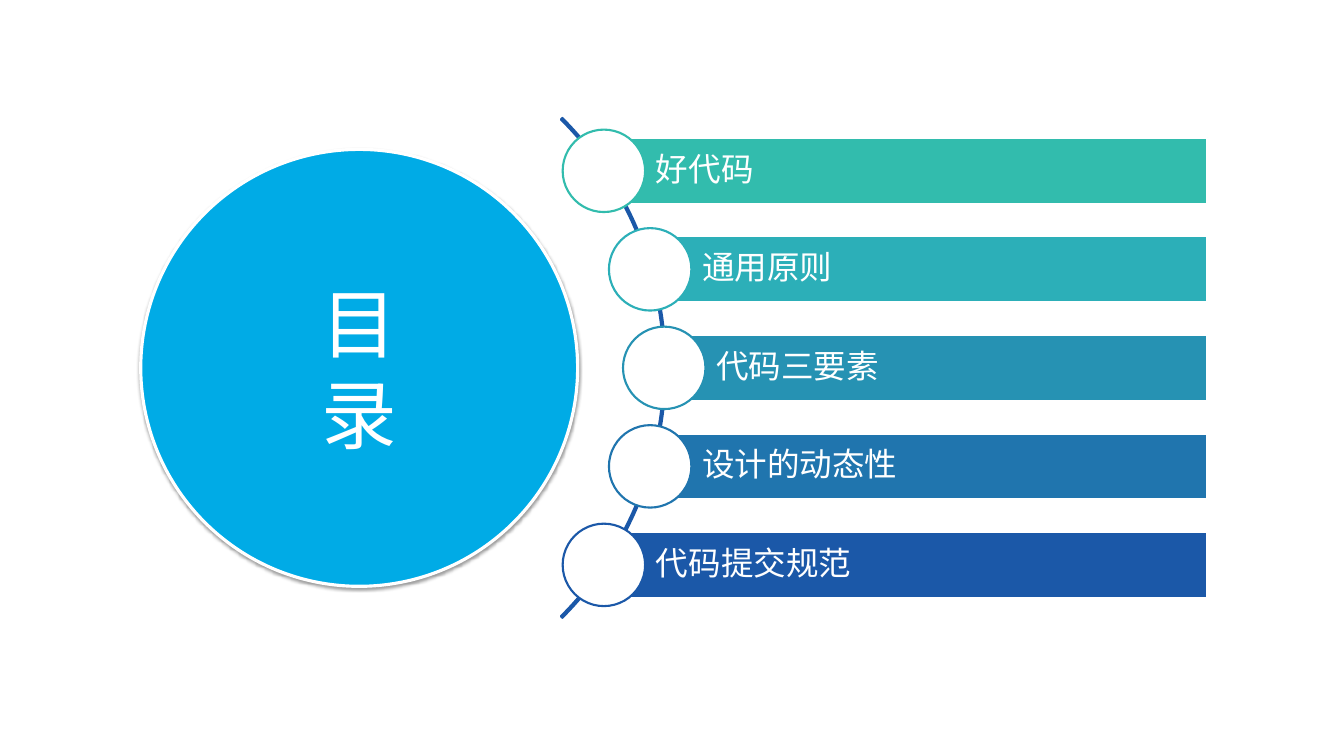
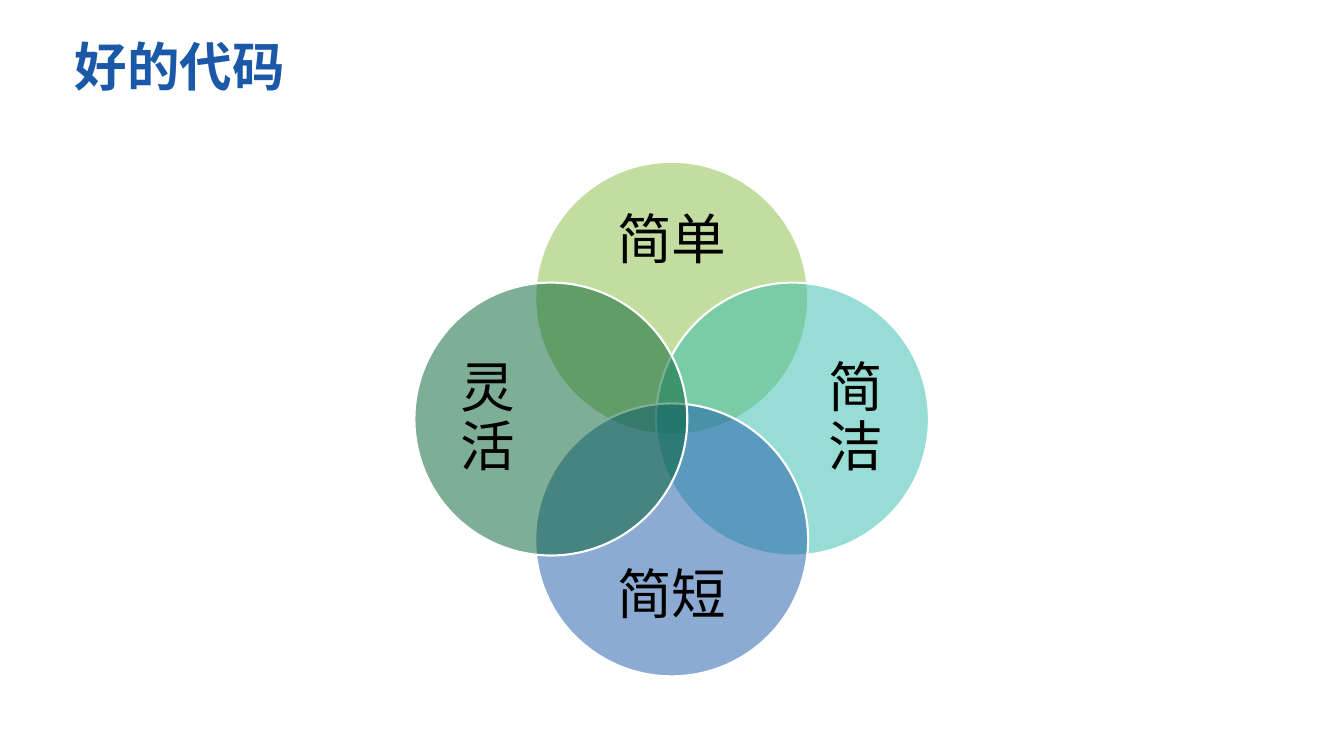
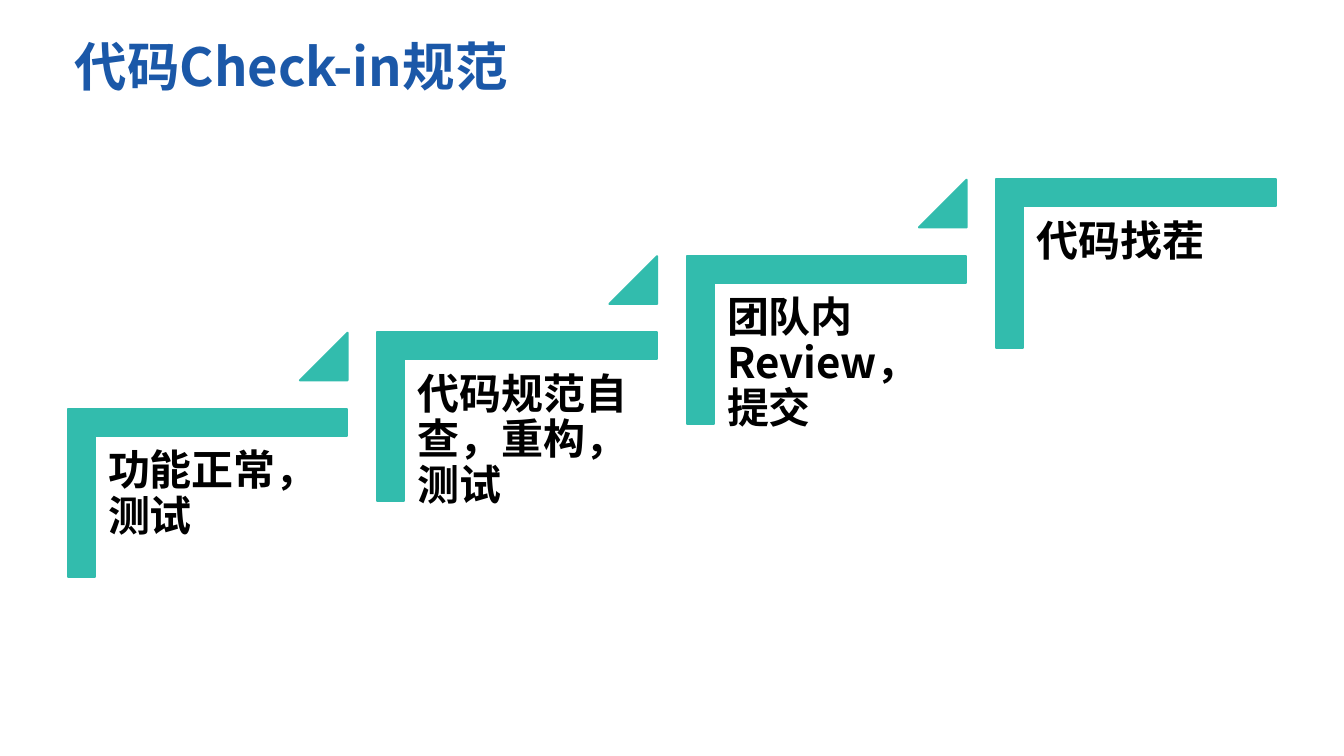
"""Build three slides on code quality: agenda, overlapping qualities, check-in steps."""
import math

import lxml.etree
import pptx
import pptx.dml.color
import pptx.enum.shapes
import pptx.enum.text
import pptx.oxml.ns
import pptx.util

Cm, Pt = pptx.util.Cm, pptx.util.Pt
SHAPE = pptx.enum.shapes.MSO_SHAPE
ALIGN = pptx.enum.text.PP_ALIGN
ANCHOR = pptx.enum.text.MSO_ANCHOR

FONT = "Noto Sans CJK SC"
WHITE, BLACK, NAVY, TEAL, SKY = "FFFFFF", "000000", "1B58A8", "32BCAD", "00ABE6"
TITLE_ONLY, BLANK = 5, 6

AGENDA_HEADING = "目\n录"
AGENDA = [
    ("好代码", TEAL),
    ("通用原则", "2CAFB8"),
    ("代码三要素", "2692B3"),
    ("设计的动态性", "2075AE"),
    ("代码提交规范", NAVY),
]
QUALITIES_TITLE = "好的代码"
QUALITIES = [
    ("简单", "87BC40", (0, -1)),
    ("简洁", TEAL, (1, 0)),
    ("简短", NAVY, (0, 1)),
    ("灵活", "005E30", (-1, 0)),
]
STEPS_TITLE = "代码Check-in规范"
STEPS = ["功能正常，测试", "代码规范自查，重构，测试", "团队内Review，提交", "代码找茬"]


def rgb(value):
    """Turn a hex string into a colour."""
    return pptx.dml.color.RGBColor.from_string(value)


def child(parent, tag, **attributes):
    """Append a DrawingML element."""
    return lxml.etree.SubElement(parent, pptx.oxml.ns.qn("a:" + tag), attributes)


def assign(target, values):
    """Set every attribute named in a dict."""
    for name, value in values.items():
        setattr(target, name, value)


def centred(x, y, width, height):
    """Return the box around a centre."""
    return x - width / 2, y - height / 2, width, height


def write(holder, text, size, color, bold=False, inset=(0.25, 0.13, 0.25, 0.13),
          anchor=ANCHOR.TOP, align=ALIGN.LEFT, spacing=1.0):
    """Fill a text frame with one style of text."""
    frame = holder.text_frame
    frame.text = text
    sides = ("margin_left", "margin_top", "margin_right", "margin_bottom")
    assign(frame, {side: Cm(gap) for side, gap in zip(sides, inset)})
    assign(frame, {"word_wrap": True, "vertical_anchor": anchor,
                   "auto_size": pptx.enum.text.MSO_AUTO_SIZE.NONE})
    for paragraph in frame.paragraphs:
        assign(paragraph, {"alignment": align, "line_spacing": spacing})
        for run in paragraph.runs:
            assign(run.font, {"size": Pt(size), "bold": bold, "name": FONT})
            run.font.color.rgb = rgb(color)
            child(run.font._element, "ea", typeface=FONT)


def add_shape(slide, kind, box, fill, line, width=2, alpha=None, adjustments=()):
    """Add a flat preset shape."""
    shape = slide.shapes.add_shape(kind, *map(Cm, box))
    shape.shadow.inherit = False
    for index, value in enumerate(adjustments):
        shape.adjustments[index] = value
    if fill:
        shape.fill.solid()
        shape.fill.fore_color.rgb = rgb(fill)
        if alpha:
            solid = shape._element.spPr.find(pptx.oxml.ns.qn("a:solidFill"))
            child(solid[0], "alpha", val=str(alpha * 1000))
    else:
        shape.fill.background()
    shape.line.color.rgb = rgb(line)
    shape.line.width = Pt(width)
    return shape


def add_text(slide, box, *content, **style):
    """Add a text box."""
    write(slide.shapes.add_textbox(*map(Cm, box)), *content, **style)


def add_slide(deck, title=None):
    """Add a slide, with the shared title style if it has a title."""
    slide = deck.slides.add_slide(deck.slide_layouts[TITLE_ONLY if title else BLANK])
    if title:
        heading = slide.shapes.title
        assign(heading, {"left": Cm(2.26), "top": Cm(1.02),
                         "width": Cm(40.64), "height": Cm(4.24)})
        write(heading, title, 50, NAVY, bold=True)
    return slide


def build_agenda(deck):
    """Set the agenda bars along an arc beside a large disc."""
    slide = add_slide(deck)
    arc_x, middle, radius, pitch, right = 10.5, 12.36, 11.82, 3.31, 40.56
    bar_height, node = 2.21, 2.77
    add_shape(slide, SHAPE.BLOCK_ARC, centred(arc_x, middle, 23.75, 23.75), None, NAVY,
              adjustments=(189, 27, 0.003))
    for index, (topic, color) in enumerate(AGENDA):
        rise = (index - (len(AGENDA) - 1) / 2) * pitch
        x, y = arc_x + math.sqrt(radius ** 2 - rise ** 2), middle + rise
        bar = add_shape(slide, SHAPE.RECTANGLE,
                        (x, y - bar_height / 2, right - x, bar_height), color, WHITE)
        write(bar, topic, 31, WHITE, inset=(1.75, 0.23, 0.23, 0.23),
              anchor=ANCHOR.MIDDLE, spacing=0.9)
        add_shape(slide, SHAPE.OVAL, centred(x, y, node, node), WHITE, color)
    disc = add_shape(slide, SHAPE.OVAL, centred(12.07, middle, 14.68, 14.68), SKY, WHITE, 3)
    write(disc, AGENDA_HEADING, 72, WHITE, anchor=ANCHOR.MIDDLE, align=ALIGN.CENTER)
    effects = disc._element.spPr.find(pptx.oxml.ns.qn("a:effectLst"))
    shadow = child(effects, "outerShdw", blurRad=str(Pt(3.1)), dist=str(Pt(1.6)),
                   dir="5400000", rotWithShape="0")
    child(child(shadow, "srgbClr", val=BLACK), "alpha", val="38000")


def build_qualities(deck):
    """Overlap four translucent circles around a centre."""
    slide = add_slide(deck, QUALITIES_TITLE)
    centre_x, centre_y, diameter, reach = 22.57, 14.08, 9.17, 4.06
    for quality, color, (dx, dy) in QUALITIES:
        circle = centred(centre_x + dx * reach, centre_y + dy * reach, diameter, diameter)
        add_shape(slide, SHAPE.OVAL, circle, color, WHITE, alpha=50)
        size = (3.53, 7.06) if dx else (7.06, 2.92)
        label = centred(centre_x + dx * 6.19, centre_y + dy * 5.97, *size)
        add_text(slide, label, quality, 52, BLACK, inset=(0, 0, 0, 0),
                 anchor=ANCHOR.MIDDLE, align=ALIGN.CENTER, spacing=0.9)


def build_steps(deck):
    """Climb a staircase of check-in steps."""
    slide = add_slide(deck, STEPS_TITLE)
    for index, step in enumerate(STEPS):
        x, y = index * 10.4, index * -2.57
        corner = add_shape(slide, SHAPE.CORNER, centred(6.97 + x, 16.56 + y, 5.66, 9.4),
                           TEAL, TEAL, adjustments=(0.161, 0.161))
        corner.rotation = 90
        add_text(slide, (3.2 + x, 14.68 + y, 8.48, 7.44), step, 40, BLACK, bold=True,
                 inset=(0.43,) * 4, spacing=0.9)
        if index < len(STEPS) - 1:
            add_shape(slide, SHAPE.ISOSCELES_TRIANGLE, (10.08 + x, 11.18 + y, 1.6, 1.6),
                      TEAL, TEAL, adjustments=(1,))


def main():
    """Build and save the deck."""
    deck = pptx.Presentation()
    assign(deck, {"slide_width": Cm(45.16), "slide_height": Cm(25.4)})
    for build in (build_agenda, build_qualities, build_steps):
        build(deck)
    deck.save("out.pptx")


if __name__ == "__main__":
    main()
